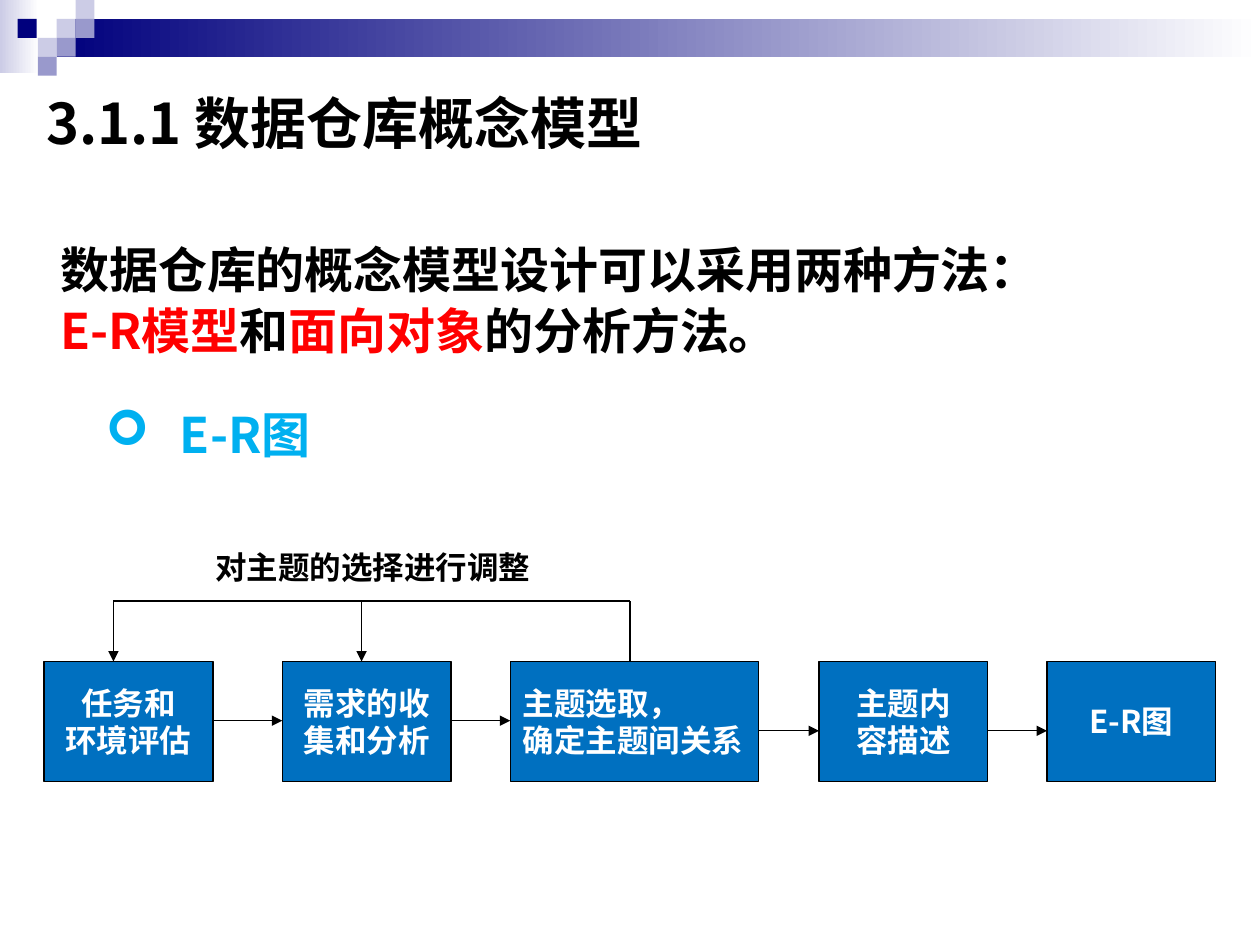
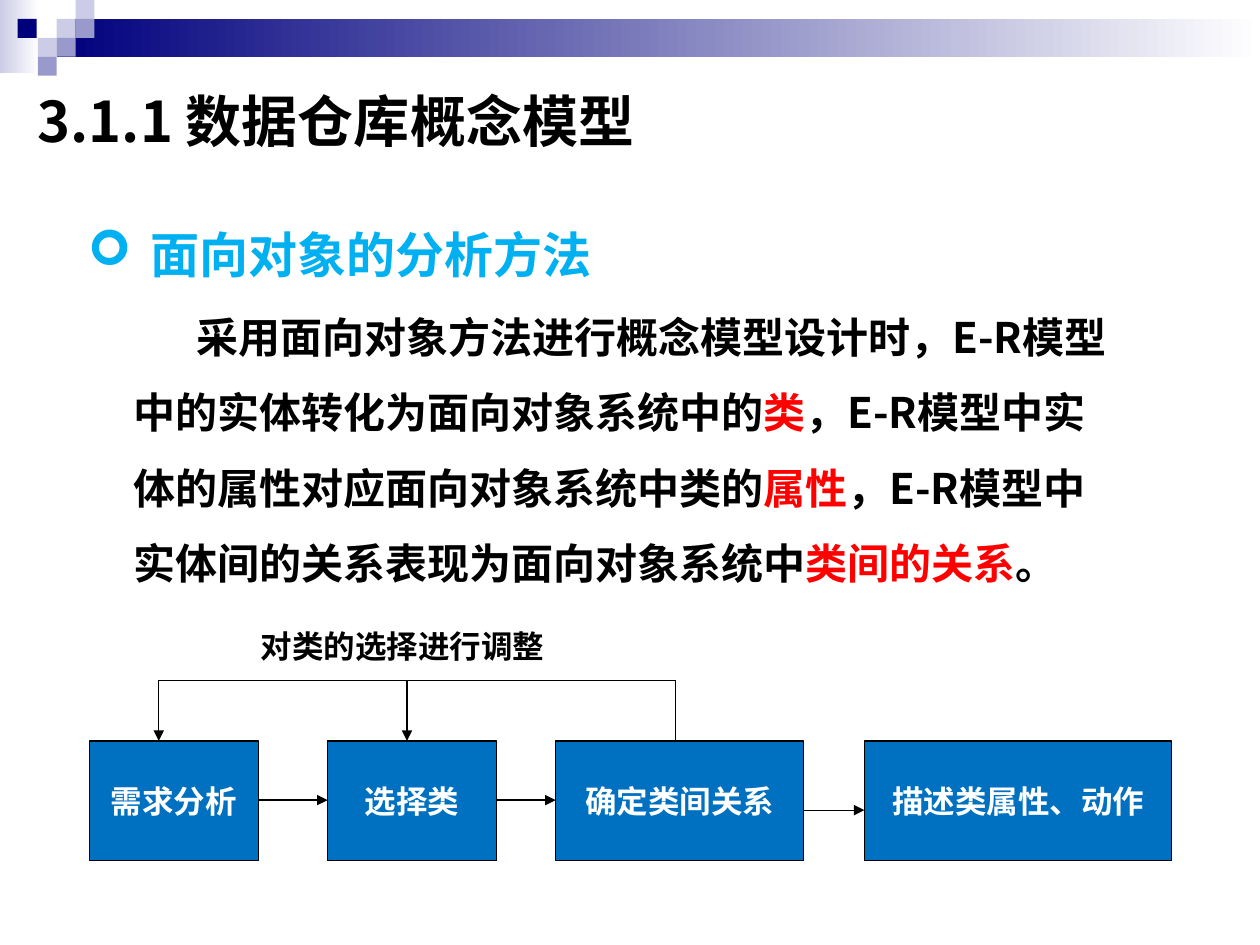
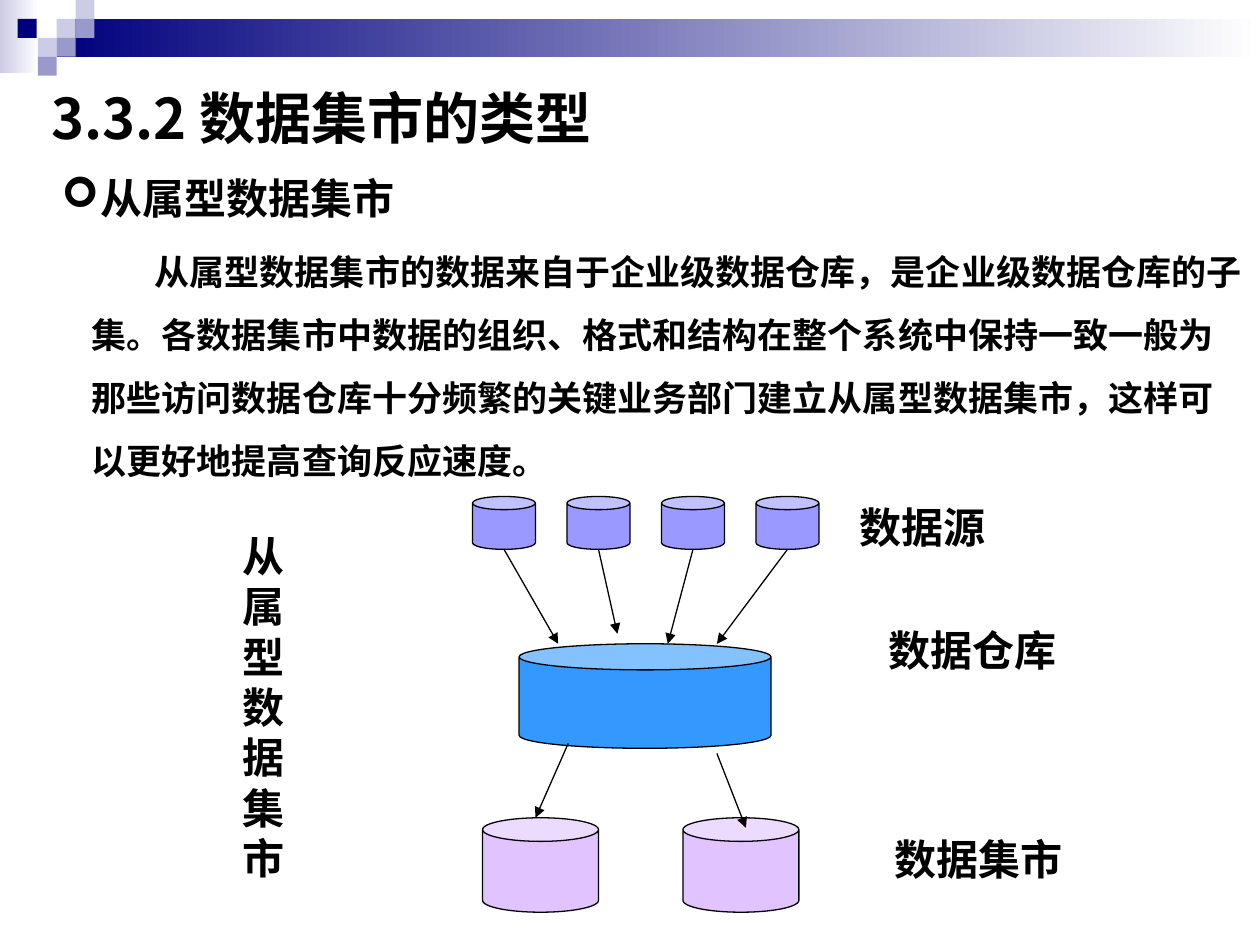
from lxml import etree
from pptx import Presentation
from pptx.dml.color import RGBColor
from pptx.enum.shapes import MSO_CONNECTOR, MSO_SHAPE
from pptx.enum.text import MSO_ANCHOR, PP_ALIGN
from pptx.oxml.ns import qn
from pptx.util import Inches, Pt

FONT = "Noto Sans CJK SC"
BULLET_FONT = "Wingdings"
BLACK = RGBColor(0x00, 0x00, 0x00)
WHITE = RGBColor(0xFF, 0xFF, 0xFF)
RED = RGBColor(0xFF, 0x00, 0x00)
SKY = RGBColor(0x00, 0xB0, 0xF0)
STEP_BLUE = RGBColor(0x00, 0x70, 0xC0)
NAVY = RGBColor(0x00, 0x00, 0x7D)
LAVENDER = RGBColor(0xCC, 0xCC, 0xE6)
PERIWINKLE = RGBColor(0x99, 0x99, 0xCC)
SOURCE_VIOLET = RGBColor(0x99, 0x99, 0xFF)
WAREHOUSE_BLUE = RGBColor(0x33, 0x99, 0xFF)
MART_LILAC = RGBColor(0xE1, 0xC3, 0xFF)

GRADIENT_BANDS = [((0, 0, 0.31, 0.58), LAVENDER), ((0.45, 0.15, 9.55, 0.3), NAVY)]
TILE = 0.15
TILES = [
    (0.45, 0.15, LAVENDER), (0.6, 0, LAVENDER), (0.6, 0.15, PERIWINKLE),
    (0.3, 0.3, LAVENDER), (0.14, 0.15, NAVY), (0.45, 0.3, PERIWINKLE),
    (0.3, 0.45, PERIWINKLE),
]

METHODS = [
    [("数据仓库的概念模型设计可以采用两种方法：", BLACK)],
    [("E-R模型", RED), ("和", BLACK), ("面向对象", RED), ("的分析方法。", BLACK)],
]
OBJECT_METHOD = [[
    ("采用面向对象方法进行概念模型设计时，E-R模型中的实体转化为面向对象系统中的", BLACK),
    ("类", RED),
    ("，E-R模型中实体的属性对应面向对象系统中类的", BLACK),
    ("属性", RED),
    ("，E-R模型中实体间的关系表现为面向对象系统中", BLACK),
    ("类间的关系", RED),
    ("。", BLACK),
]]
DEPENDENT_MART = (
    "从属型数据集市的数据来自于企业级数据仓库，是企业级数据仓库的子集。"
    "各数据集市中数据的组织、格式和结构在整个系统中保持一致一般为"
    "那些访问数据仓库十分频繁的关键业务部门建立从属型数据集市，"
    "这样可以更好地提高查询反应速度。"
)

CENTER, LEFT = PP_ALIGN.CENTER, PP_ALIGN.LEFT
ER_STEPS = [
    (["任务和", "环境评估"], 1.34, CENTER),
    (["需求的收", "集和分析"], 1.34, CENTER),
    (["主题选取，", "确定主题间关系"], 1.97, LEFT),
    (["主题内", "容描述"], 1.34, CENTER),
    (["E-R图"], 1.34, CENTER),
]
OBJECT_STEPS = [
    (["需求分析"], 1.34, CENTER),
    (["选择类"], 1.34, CENTER),
    (["确定类间关系"], 1.97, CENTER),
    (["描述类属性、动作"], 2.44, CENTER),
]
STEP_HEIGHT = 0.95
STEP_GAPS = [0.55, 0.47, 0.48, 0.47]
STEP_ARROW_DROPS = [0.47, 0.47, 0.55, 0.55]
LOOP_RISE = 0.48
LOOP_OFFSETS = [0.55, 0.63, 0.95]

SOURCES = [(3.75 + 0.75 * index, 3.94, 0.5, 0.42) for index in range(4)]
WAREHOUSE = (4.12, 5.11, 2, 0.83)
MARTS = [(3.83, 6.49, 0.92, 0.75), (5.42, 6.49, 0.92, 0.75)]
DATA_FLOWS = [
    ((4, 4.36), (4.43, 5.11)), ((4.75, 4.36), (4.9, 5.03)),
    ((5.5, 4.36), (5.3, 5.11)), ((6.25, 4.36), (5.69, 5.11)),
    ((4.51, 5.9), (4.25, 6.49)), ((5.69, 5.98), (5.92, 6.57)),
]
TIER_LABELS = [("数据源", 6.72, 3.93), ("数据仓库", 6.95, 4.91), ("数据集市", 7, 6.57)]


def inches(values):
    return [Inches(value) for value in values]


def write(frame, paras, size, align=LEFT, spacing=None, margin=0, indent=0, bullet=None):
    for index, spans in enumerate(paras):
        para = frame.paragraphs[0] if index == 0 else frame.add_paragraph()
        para.alignment = align
        if spacing:
            para.line_spacing = spacing
        props = para._p.get_or_add_pPr()
        props.set("marL", str(Inches(margin)))
        props.set("indent", str(Inches(indent)))
        if bullet:
            etree.SubElement(props, qn("a:buFont")).set("typeface", BULLET_FONT)
            etree.SubElement(props, qn("a:buChar")).set("char", bullet)
        for text, color in spans:
            span = para.add_run()
            span.text = text
            span.font.size = Pt(size)
            span.font.bold = True
            span.font.name = FONT
            span.font.color.rgb = color
            etree.SubElement(span._r.get_or_add_rPr(), qn("a:ea")).set("typeface", FONT)


def add_text(page, place, paras, size, wrap=True, anchor=MSO_ANCHOR.TOP, **style):
    frame = page.shapes.add_textbox(*inches(place)).text_frame
    frame.word_wrap = wrap
    frame.vertical_anchor = anchor
    write(frame, paras, size, **style)


def add_heading(page, place, text, size, color, hang):
    add_text(page, place, [[(text, color)]], size, wrap=False,
             margin=hang, indent=-hang, bullet="➢")


def add_box(page, kind, place, color, outlined=True):
    box = page.shapes.add_shape(kind, *inches(place))
    box.shadow.inherit = False
    box.fill.solid()
    box.fill.fore_color.rgb = color
    if outlined:
        box.line.color.rgb = BLACK
        box.line.width = Pt(0.75)
    else:
        box.line.fill.background()
    return box


def add_line(page, start, end, arrow=True):
    line = page.shapes.add_connector(MSO_CONNECTOR.STRAIGHT, *inches(start + end))
    line.line.color.rgb = BLACK
    line.line.width = Pt(0.75)
    if arrow:
        etree.SubElement(line.line._get_or_add_ln(), qn("a:tailEnd")).set("type", "triangle")
    etree.SubElement(line._element.spPr, qn("a:effectLst"))


def add_page(deck, title, left, top):
    page = deck.slides.add_slide(deck.slide_layouts[6])
    for place, color in GRADIENT_BANDS:
        band = add_box(page, MSO_SHAPE.RECTANGLE, place, color, outlined=False)
        band.fill.gradient()
        band.fill.gradient_angle = 0
        for stop, shade, position in zip(band.fill.gradient_stops, (color, WHITE), (0, 1)):
            stop.color.rgb = shade
            stop.position = position
    for x, y, color in TILES:
        add_box(page, MSO_SHAPE.RECTANGLE, (x, y, TILE, TILE), color, outlined=False)
    add_text(page, (left, top, 9.34, 0.66), [[(title, BLACK)]], 32, anchor=MSO_ANCHOR.MIDDLE)
    return page


def add_process(page, steps, left, top, label, label_width):
    x = left
    targets = []
    for index, (lines, width, align) in enumerate(steps):
        box = add_box(page, MSO_SHAPE.RECTANGLE, (x, top, width, STEP_HEIGHT), STEP_BLUE)
        box.text_frame.word_wrap = False
        box.text_frame.vertical_anchor = MSO_ANCHOR.MIDDLE
        write(box.text_frame, [[(line, WHITE)] for line in lines], 18, align=align)
        if index < len(LOOP_OFFSETS):
            targets.append(x + LOOP_OFFSETS[index])
        x += width
        if index < len(steps) - 1:
            y = top + STEP_ARROW_DROPS[index]
            add_line(page, (x, y), (x + STEP_GAPS[index], y))
            x += STEP_GAPS[index]
    first, second, last = targets
    loop = top - LOOP_RISE
    add_line(page, (last, top), (last, loop), arrow=False)
    add_line(page, (last, loop), (first, loop), arrow=False)
    for target in (first, second):
        add_line(page, (target, loop), (target, top))
    add_text(page, (left + 1.26, top - 0.95, label_width, 0.4), [[(label, BLACK)]], 18, wrap=False)


def build_er_page(deck):
    page = add_page(deck, "3.1.1 数据仓库概念模型", 0.27, 0.64)
    add_text(page, (0.29, 1.83, 8.67, 1.03), METHODS, 28, spacing=Pt(35), margin=0.09)
    add_heading(page, (0.74, 3.16, 2, 0.57), "E-R图", 28, SKY, 0.59)
    add_process(page, ER_STEPS, 0.35, 5.25, "对主题的选择进行调整", 2.74)


def build_object_page(deck):
    page = add_page(deck, "3.1.1 数据仓库概念模型", 0.2, 0.62)
    add_heading(page, (0.6, 1.73, 4.26, 0.57), "面向对象的分析方法", 28, SKY, 0.5)
    add_text(page, (0.96, 2.22, 8.06, 2.43), OBJECT_METHOD, 24, spacing=1.5, indent=0.5)
    add_process(page, OBJECT_STEPS, 0.71, 5.88, "对类的选择进行调整", 2.5)


def build_mart_page(deck):
    page = add_page(deck, "3.3.2 数据集市的类型", 0.31, 0.6)
    add_heading(page, (0.39, 1.32, 2.89, 0.5), "从属型数据集市", 24, BLACK, 0.31)
    add_text(page, (0.63, 1.77, 9.37, 2.02), [[(DEPENDENT_MART, BLACK)]], 20,
             spacing=1.5, indent=0.5)
    tiers = [(SOURCES, SOURCE_VIOLET), ([WAREHOUSE], WAREHOUSE_BLUE), (MARTS, MART_LILAC)]
    for places, color in tiers:
        for place in places:
            add_box(page, MSO_SHAPE.CAN, place, color)
    for start, end in DATA_FLOWS:
        add_line(page, start, end)
    for text, left, top in TIER_LABELS:
        add_text(page, (left, top, 1.92, 0.5), [[(text, BLACK)]], 24)
    add_text(page, (1.83, 4.16, 0.67, 2.93), [[("从属型数据集市", BLACK)]], 24)


def main():
    deck = Presentation()
    deck.slide_width = Inches(10)
    deck.slide_height = Inches(7.5)
    build_er_page(deck)
    build_object_page(deck)
    build_mart_page(deck)
    deck.save("out.pptx")


if __name__ == "__main__":
    main()
